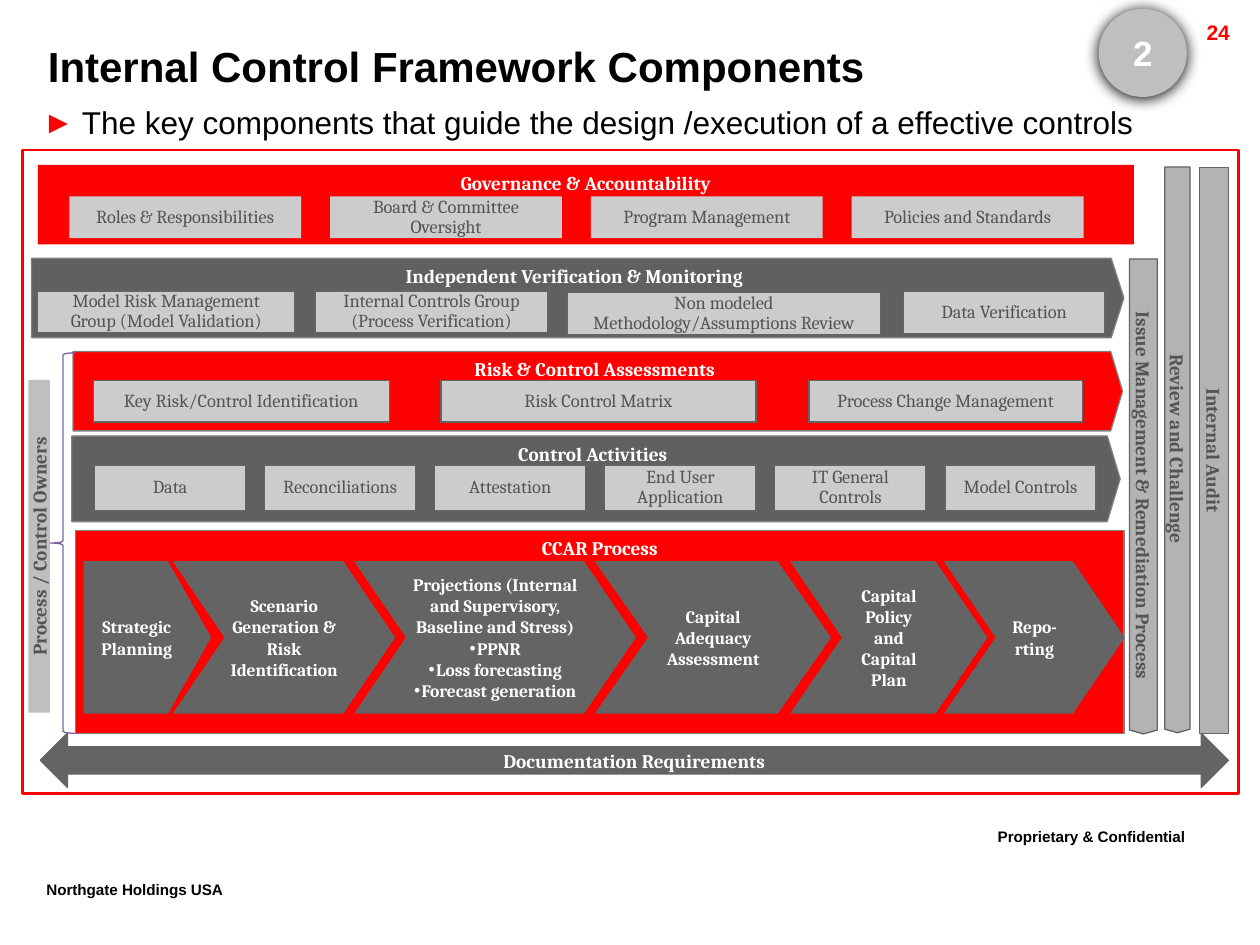
from dataclasses import dataclass
from typing import Optional

from lxml.etree import SubElement
from pptx import Presentation
from pptx.dml.color import RGBColor
from pptx.enum.shapes import MSO_SHAPE
from pptx.enum.text import MSO_ANCHOR, MSO_AUTO_SIZE, PP_ALIGN
from pptx.oxml.ns import qn
from pptx.util import Inches, Pt

COLORS = {
    "red": "FF0000", "white": "FFFFFF", "black": "000000", "ink": "545454",
    "band": "606060", "band_line": "808080", "steel": "646464", "box": "CCCCCC",
    "bar": "B3B3B3", "silver": "BFBFBF", "brace": "7D60A0",
}


@dataclass(frozen=True)
class Style:
    fill: Optional[str] = None
    line: Optional[str] = None
    font: str = "Cambria"
    size: float = 11
    color: str = "white"
    bold: bool = True
    anchor: MSO_ANCHOR = MSO_ANCHOR.MIDDLE
    align: PP_ALIGN = PP_ALIGN.CENTER
    line_spacing: Optional[float] = None
    side_inset: float = 0.1
    line_width: float = 0.75


@dataclass(frozen=True)
class Block:
    text: str
    left: float
    top: float
    width: float
    height: float
    geometry: MSO_SHAPE = MSO_SHAPE.RECTANGLE
    point: Optional[float] = None
    rotation: float = 0


@dataclass(frozen=True)
class Band:
    header: Block
    style: Style
    box_style: Style
    boxes: tuple[Block, ...]


RED_BAND = Style("red", "band_line", anchor=MSO_ANCHOR.TOP)
PLAIN_RED_BAND = Style("red", anchor=MSO_ANCHOR.TOP)
GRAY_BAND = Style("band", "band_line", anchor=MSO_ANCHOR.TOP)
BOX = Style("box", "steel", size=10.5, color="ink", bold=False, line_spacing=0.9)
PLAIN_BOX = Style("box", size=10.5, color="ink", bold=False, line_spacing=0.9)
STEP = Style("steel", "steel", size=10)
WIDE_STEP = Style("steel", "steel", size=10, side_inset=0)
BAR = Style("bar", "steel", color="ink")
OWNERS = Style("silver", color="ink")
ARROW = Style("steel", "steel", side_inset=0)
FRAME = Style(line="red", line_width=1.5)
BRACE = Style(line="brace")
BADGE = Style("silver", font="Arial", size=20)
TITLE = Style(font="Arial", size=24, color="black", align=PP_ALIGN.LEFT, anchor=MSO_ANCHOR.TOP)
LEAD = Style(font="Arial", size=18, color="black", bold=False, align=PP_ALIGN.LEFT)
FOOTER = Style(font="Arial", size=15, color="black", align=PP_ALIGN.LEFT, anchor=MSO_ANCHOR.TOP)
PAGE_NUMBER = Style(font="Arial", size=12, color="red", align=PP_ALIGN.RIGHT, anchor=MSO_ANCHOR.TOP)

PLATE, CHEVRON = MSO_SHAPE.PENTAGON, MSO_SHAPE.CHEVRON

BANDS = (
    Band(Block("Independent Verification & Monitoring", 0.25, 2.05, 8.67, 0.63, PLATE, 0.16),
         GRAY_BAND, BOX, (
             Block("Model Risk Management Group (Model Validation)", 0.3, 2.31, 2.04, 0.33),
             Block("Internal Controls Group (Process Verification)", 2.5, 2.31, 1.85, 0.33),
             Block("Non modeled Methodology/Assumptions Review", 4.5, 2.32, 2.49, 0.34),
             Block("Data Verification", 7.17, 2.31, 1.6, 0.34))),
    Band(Block("Control Activities", 0.57, 3.46, 8.32, 0.68, PLATE, 0.15),
         GRAY_BAND, BOX, tuple(
             Block(text, 0.75 + 1.35 * index, 3.69, 1.2, 0.36)
             for index, text in enumerate((
                 "Data", "Reconciliations", "Attestation", "End User Application",
                 "IT General Controls", "Model Controls")))),
    Band(Block("Risk & Control Assessments", 0.58, 2.79, 8.33, 0.63, PLATE, 0.15),
         RED_BAND, BOX, (
             Block("Key Risk/Control Identification", 0.74, 3.02, 2.35, 0.33),
             Block("Risk Control Matrix", 3.5, 3.02, 2.5, 0.33),
             Block("Process Change Management", 6.42, 3.02, 2.17, 0.33))),
    Band(Block("Governance & Accountability", 0.3, 1.31, 8.7, 0.63),
         PLAIN_RED_BAND, PLAIN_BOX, tuple(
             Block(text, 0.55 + 2.07 * index, 1.56, 1.84, 0.33)
             for index, text in enumerate((
                 "Roles & Responsibilities", "Board & Committee Oversight",
                 "Program Management", "Policies and Standards")))),
)

PROCESS = Block("CCAR Process", 0.6, 4.21, 8.32, 1.61)
STEPS = (
    (Block("Strategic Planning", 0.67, 4.46, 1, 1.2, PLATE, 0.34), STEP),
    (Block("Capital Policy and Capital Plan", 6.28, 4.46, 1.55, 1.2, CHEVRON, 0.34), STEP),
    (Block("Capital Adequacy Assessment", 4.73, 4.46, 1.86, 1.2, CHEVRON, 0.35), STEP),
    (Block("Repo-rting", 7.5, 4.46, 1.42, 1.2, CHEVRON, 0.34), STEP),
    (Block("Scenario Generation & Risk Identification", 1.38, 4.46, 1.75, 1.2, CHEVRON, 0.34),
     WIDE_STEP),
)
PROJECTIONS = Block(
    "Projections (Internal and Supervisory, Baseline and Stress)\n"
    "PPNR\nLoss forecasting\nForecast generation", 2.82, 4.46, 2.22, 1.2, CHEVRON, 0.34)
SIDE_PARTS = (
    (Block("Issue Management & Remediation Process", 7.19, 3.83, 3.77, 0.22, PLATE, 0.14, 90), BAR),
    (Block("Internal Audit", 7.39, 3.46, 4.49, 0.23, PLATE, 0, 90), BAR),
    (Block("Review and Challenge", 7.1, 3.47, 4.49, 0.2, PLATE, 0.14, 90), BAR),
    (Block("Process / Control Owners", -1.01, 4.25, 2.64, 0.17, PLATE, 0, 270), OWNERS),
    (Block("Documentation Requirements", 0.32, 5.82, 9.43, 0.43, MSO_SHAPE.LEFT_RIGHT_ARROW), ARROW),
    (Block("", 0.18, 1.19, 9.65, 5.11), FRAME),
    (Block("", 0.4, 2.8, 0.2, 3.02, MSO_SHAPE.LEFT_BRACE), BRACE),
)
FOOTERS = (
    Block("Proprietary & Confidential", 7.82, 6.49, 2.18, 0.35),
    Block("Northgate Holdings USA", 0.27, 6.91, 1.91, 0.35),
)


def color_of(name: str) -> RGBColor:
    return RGBColor.from_string(COLORS[name])


def write_text(shape, text: str, style: Style) -> None:
    frame = shape.text_frame
    frame.text = text
    frame.word_wrap = True
    frame.auto_size = MSO_AUTO_SIZE.NONE
    frame.vertical_anchor = style.anchor
    frame.margin_left = frame.margin_right = Inches(style.side_inset)
    frame.margin_top = frame.margin_bottom = Inches(0.05)
    for para in frame.paragraphs:
        para.alignment = style.align
        para.space_before = Pt(0)
        if style.line_spacing:
            para.line_spacing = style.line_spacing
        for span in para.runs:
            span.font.name = style.font
            span.font.size = Pt(style.size)
            span.font.bold = style.bold
            span.font.color.rgb = color_of(style.color)


def draw_block(slide, block: Block, style: Style):
    shape = slide.shapes.add_shape(
        block.geometry, Inches(block.left), Inches(block.top),
        Inches(block.width), Inches(block.height))
    shape.shadow.inherit = False
    shape.rotation = block.rotation
    if block.point is not None:
        shape.adjustments[0] = block.point
    if style.fill:
        shape.fill.solid()
        shape.fill.fore_color.rgb = color_of(style.fill)
    else:
        shape.fill.background()
    if style.line:
        shape.line.color.rgb = color_of(style.line)
        shape.line.width = Pt(style.line_width)
    else:
        shape.line.fill.background()
    if block.text:
        write_text(shape, block.text, style)
    return shape


def draw_label(slide, block: Block, style: Style):
    box = slide.shapes.add_textbox(
        Inches(block.left), Inches(block.top), Inches(block.width), Inches(block.height))
    write_text(box, block.text, style)
    return box


def fill_placeholder(holder, block: Block, style: Style) -> None:
    holder.left, holder.top = Inches(block.left), Inches(block.top)
    holder.width, holder.height = Inches(block.width), Inches(block.height)
    write_text(holder, block.text, style)


def set_bullet(para, symbol: str, indent: float, color: str) -> None:
    properties = para._p.get_or_add_pPr()
    properties.set("marL", str(Inches(indent)))
    properties.set("indent", str(-Inches(indent)))
    paint = SubElement(properties, qn("a:buClr"))
    SubElement(paint, qn("a:srgbClr"), val=COLORS[color])
    SubElement(properties, qn("a:buFont"), typeface="Arial")
    SubElement(properties, qn("a:buChar"), char=symbol)


def add_soft_shadow(shape) -> None:
    effects = shape._element.spPr.find(qn("a:effectLst"))
    shadow = SubElement(effects, qn("a:outerShdw"), blurRad=str(Pt(8.5)),
                        dist=str(Pt(1)), dir="5400000", algn="t", rotWithShape="0")
    SubElement(shadow, qn("a:srgbClr"), val=COLORS["black"])


def main() -> None:
    deck = Presentation()
    deck.slide_width, deck.slide_height = Inches(10), Inches(7.5)
    slide = deck.slides.add_slide(deck.slide_layouts[1])

    fill_placeholder(slide.shapes.title, Block(
        "Internal Control Framework Components", 0.28, 0.27, 8.47, 0.5), TITLE)
    body = slide.placeholders[1]
    fill_placeholder(body, Block(
        "The key components that guide the design /execution of a effective controls",
        0.24, 0.63, 9.58, 0.68), LEAD)
    set_bullet(body.text_frame.paragraphs[0], "►", 0.31, "red")

    for footer in FOOTERS:
        label = draw_label(slide, footer, FOOTER)
        for span in label.text_frame.paragraphs[0].runs:
            span._r.get_or_add_rPr().set("baseline", "30000")
    draw_label(slide, Block("24", 8.91, 0.11, 0.95, 0.24), PAGE_NUMBER)

    for band in BANDS:
        draw_block(slide, band.header, band.style)
        for box in band.boxes:
            draw_block(slide, box, band.box_style)

    draw_block(slide, PROCESS, RED_BAND)
    for step, style in STEPS:
        draw_block(slide, step, style)
    projections = draw_block(slide, PROJECTIONS, WIDE_STEP)
    for para in projections.text_frame.paragraphs[1:]:
        set_bullet(para, "•", 0.06, "white")

    for part, style in SIDE_PARTS:
        draw_block(slide, part, style)

    badge = draw_block(slide, Block("2", 8.72, 0.07, 0.7, 0.7, MSO_SHAPE.OVAL), BADGE)
    add_soft_shadow(badge)
    deck.save("out.pptx")


if __name__ == "__main__":
    main()
